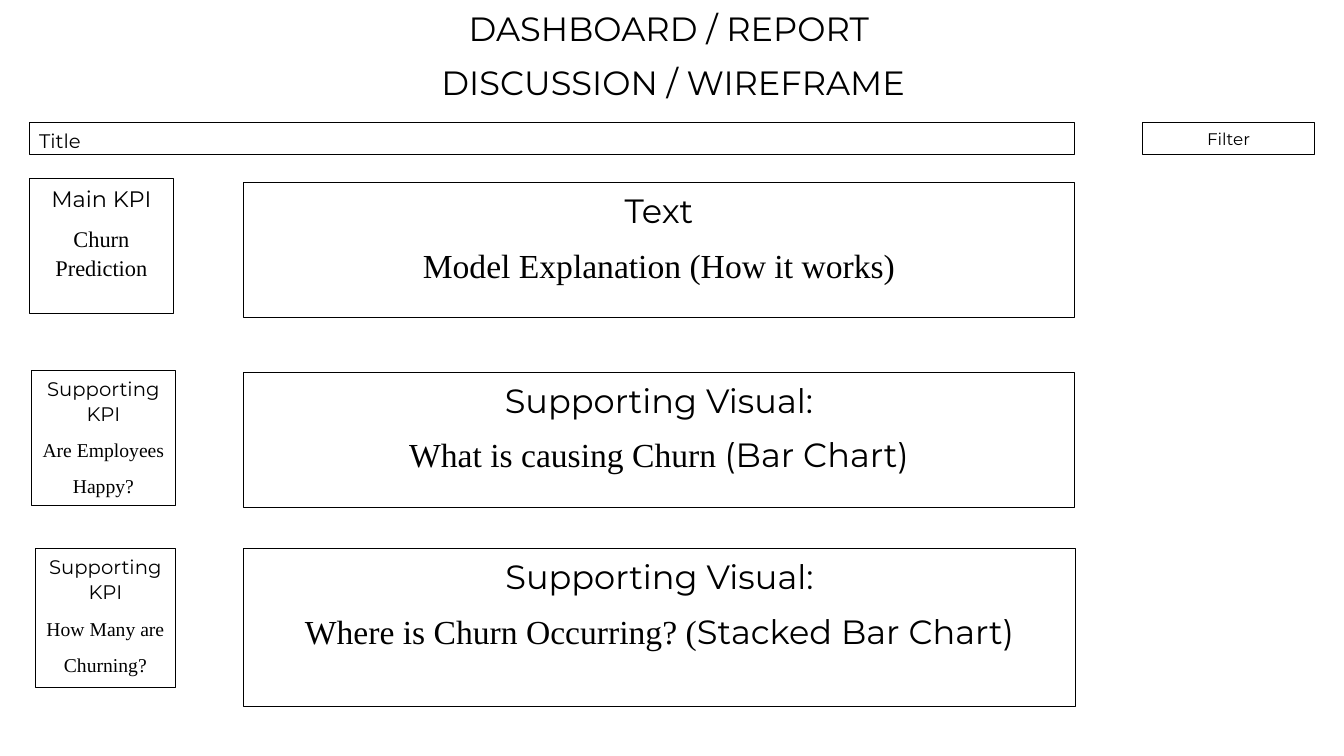
"""Build a dashboard wireframe slide with a heading, KPI tiles and visual panels."""
from dataclasses import dataclass

from pptx import Presentation as Deck
from pptx.dml.color import RGBColor as Color
from pptx.enum.shapes import MSO_SHAPE as Shape
from pptx.enum.text import MSO_ANCHOR as Anchor, MSO_AUTO_SIZE as Fit, PP_ALIGN as Align
from pptx.util import Inches, Pt


@dataclass(frozen=True)
class Theme:
    ink: Color = Color(0, 0, 0)
    paper: Color = Color(255, 255, 255)
    sans: str = "Montserrat"
    serif: str = "Times New Roman"
    head: int = 24
    main: int = 16
    body: int = 14
    small: int = 12
    rule: float = 0.5


theme = Theme()
sans, serif = theme.sans, theme.serif

deck = Deck()
deck.slide_width, deck.slide_height = Inches(13.33), Inches(7.5)
slide = deck.slides.add_slide(deck.slide_layouts[5])


def place(left, top, width, height):
    """Turn percentages of the slide into lengths."""
    wide, high = deck.slide_width / 100, deck.slide_height / 100
    return int(left * wide), int(top * high), int(width * wide), int(height * high)


def write(box, lines, size, align=Align.CENTER):
    """Fill a shape with paragraphs, each a list of (text, font) runs."""
    frame = box.text_frame
    frame.word_wrap = True
    frame.auto_size = Fit.NONE
    frame.vertical_anchor = Anchor.TOP
    for num, line in enumerate(lines):
        para = frame.add_paragraph() if num else frame.paragraphs[0]
        para.alignment = align
        para.line_spacing = 1.07
        para.space_before, para.space_after = Pt(0), Pt(8)
        for text, face in line:
            run = para.add_run()
            run.text = text
            run.font.name, run.font.size = face, Pt(size)
            run.font.color.rgb = theme.ink


head = slide.shapes.title
head.left, head.top, head.width, head.height = place(2.18, 0, 95.8, 12.93)
head.fill.solid()
head.fill.fore_color.rgb = theme.paper
write(head, [[("DASHBOARD / REPORT ", sans)], [("DISCUSSION / WIREFRAME", sans)]], theme.head)

edge, mid = 2.18, 18.08
bar, tile = 4.27, 17.87
panels = [
    ((edge, 16.13, 77.79, bar), theme.body, Align.LEFT, [[("Title", sans)]]),
    ((85, 16.13, 12.83, bar), theme.small, Align.CENTER, [[("Filter", sans)]]),
    ((edge, 23.6, 10.73, tile), theme.main, Align.CENTER,
     [[("Main KPI", sans)], [("Churn Prediction", serif)]]),
    ((2.33, 48.93, 10.73, tile), theme.body, Align.CENTER,
     [[("Supporting KPI", sans)], [("Are Employees ", serif)], [("Happy?", serif)]]),
    ((2.63, 72.53, 10.43, 18.4), theme.body, Align.CENTER,
     [[("Supporting KPI", sans)], [("How Many are ", serif)], [("Churning?", serif)]]),
    ((mid, 24.13, 61.89, tile), theme.head, Align.CENTER,
     [[("Text", sans)], [("Model Explanation (How it works)", serif)]]),
    ((mid, 49.2, 61.89, tile), theme.head, Align.CENTER,
     [[("Supporting Visual:", sans)],
      [("What is causing Churn ", serif), ("(Bar Chart)", sans)]]),
    ((mid, 72.53, 61.97, 20.93), theme.head, Align.CENTER,
     [[("Supporting Visual:", sans)],
      [("Where is Churn Occurring? (", serif), ("Stacked Bar Chart)", sans)]]),
]
for area, size, align, lines in panels:
    box = slide.shapes.add_shape(Shape.RECTANGLE, *place(*area))
    box.shadow.inherit = False
    box.fill.solid()
    box.fill.fore_color.rgb = theme.paper
    box.line.color.rgb = theme.ink
    box.line.width = Pt(theme.rule)
    write(box, lines, size, align)

deck.save("out.pptx")
